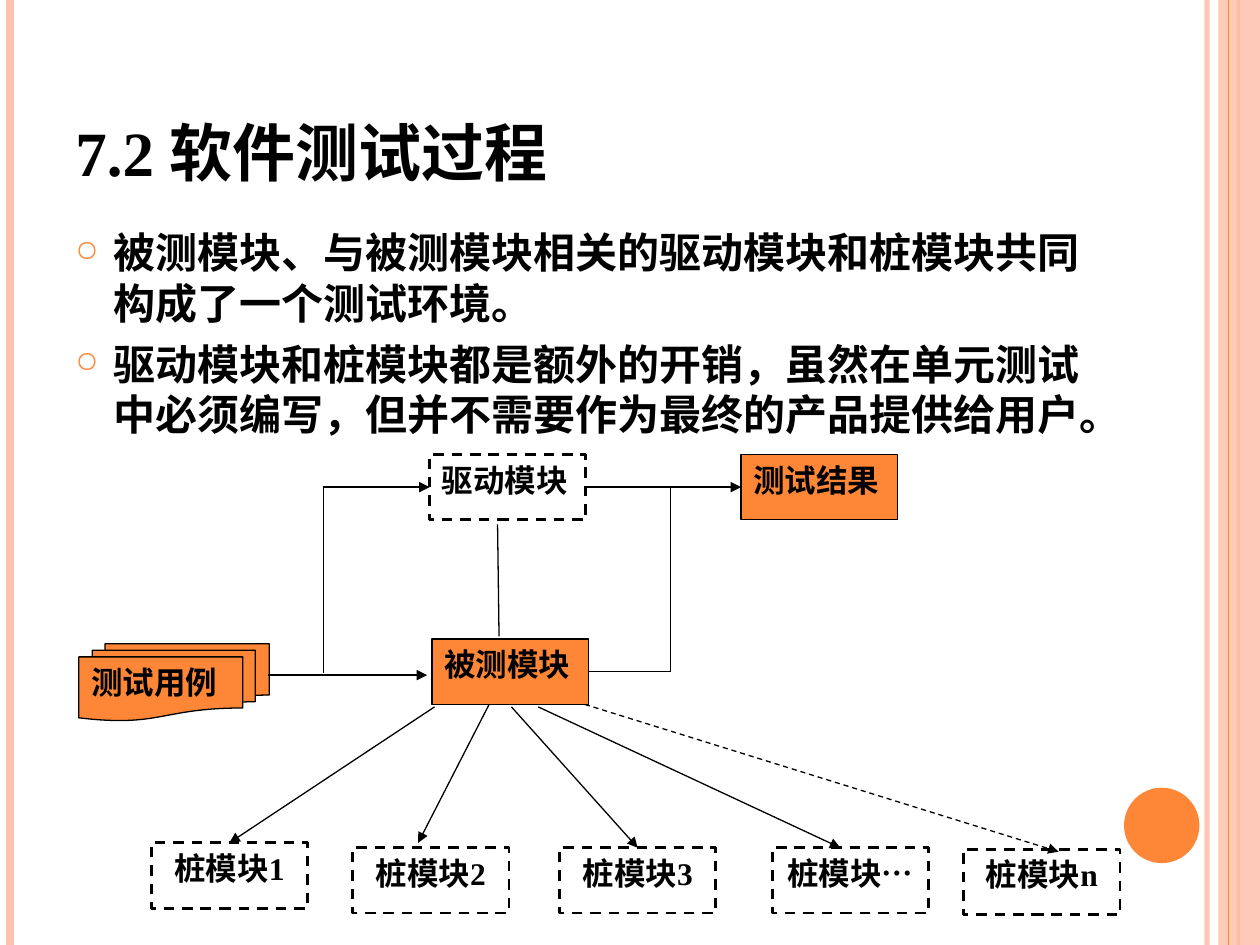
from dataclasses import dataclass
from pptx import Presentation
from pptx.dml.color import RGBColor
from pptx.enum.dml import MSO_LINE
from pptx.enum.shapes import MSO_CONNECTOR, MSO_SHAPE
from pptx.enum.text import MSO_ANCHOR, PP_ALIGN
from pptx.oxml.ns import qn
from pptx.util import Cm, Pt
from lxml import etree

RECT, OVAL = MSO_SHAPE.RECTANGLE, MSO_SHAPE.OVAL
DOCS = MSO_SHAPE.FLOWCHART_MULTIDOCUMENT
STRAIGHT = MSO_CONNECTOR.STRAIGHT
DASH = MSO_LINE.DASH
MID, JUST = PP_ALIGN.CENTER, PP_ALIGN.JUSTIFY
BOTTOM = MSO_ANCHOR.BOTTOM
TOP, LEFT, RIGHT = 0, 1, 3


@dataclass(frozen=True)
class Theme:
    ink: str = "000000"
    main: str = "FE8637"
    pale: str = "FEC3AE"
    font: str = "Times New Roman"
    title: int = 36
    body: int = 24
    label: int = 18
    thin: float = 0.75
    thick: float = 1.5


T = Theme()


def rgb(code):
    return RGBColor.from_string(code)


def fade(item, pct):
    """Set the opacity of the first colour in a shape or line."""
    tone = next(item._element.spPr.iter(qn("a:srgbClr")))
    etree.SubElement(tone, qn("a:alpha"), val=str(pct * 1000))


def write(para, text, size):
    run = para.add_run()
    run.text = text
    font = run.font
    font.name, font.size, font.bold = T.font, Pt(size), True
    font.color.rgb = rgb(T.ink)


def shape(slide, kind, x, y, w, h, fill=None):
    item = slide.shapes.add_shape(kind, Cm(x), Cm(y), Cm(w), Cm(h))
    item.shadow.inherit = False
    item.line.fill.background()
    if fill:
        item.fill.solid()
        item.fill.fore_color.rgb = rgb(fill)
    else:
        item.fill.background()
    return item


def block(slide, kind, x, y, w, h, text, fill=None, align=JUST):
    """Labelled outline: solid when filled, dashed when empty."""
    item = shape(slide, kind, x, y, w, h, fill)
    item.line.color.rgb = rgb(T.ink)
    item.line.width = Pt(T.thin if fill else T.thick)
    if not fill:
        item.line.dash_style = DASH
    frame = item.text_frame
    frame.vertical_anchor = MSO_ANCHOR.TOP
    para = frame.paragraphs[0]
    para.alignment = align
    write(para, text, T.label)
    return item


def line(slide, start, end, color=T.ink, width=T.thin, head=False):
    """Straight line; each end is a point or a (shape, side) pair."""
    ends = [(0, 0) if hasattr(p[0], "shape_id") else p for p in (start, end)]
    (x1, y1), (x2, y2) = ends
    item = slide.shapes.add_connector(STRAIGHT, Cm(x1), Cm(y1), Cm(x2), Cm(y2))
    if ends[0] != start:
        item.begin_connect(*start)
    if ends[1] != end:
        item.end_connect(*end)
    item.line.color.rgb = rgb(color)
    item.line.width = Pt(width)
    if head:
        etree.SubElement(item.line._get_or_add_ln(), qn("a:tailEnd"), type="triangle")
    etree.SubElement(item._element.spPr, qn("a:effectLst"))
    return item


def frame(slide, w, h):
    """Stripes at both edges and the round badge."""
    def rule(x, color, width):
        return line(slide, (x, 0), (x, h), color, width)

    fade(rule(w - 1.07, T.pale, 3), 93)
    rule(0.2, T.pale, 4.5)
    rule(w - 0.43, T.main, 1.5)
    fade(shape(slide, RECT, w - 0.84, 0, 0.84, h, T.pale), 87)
    rule(w - 0.64, T.main, 0.75)
    shape(slide, OVAL, w - 2.74, h - 3.17, 1.52, 1.52, T.main)


def area(slide, x, y, w, h):
    box = slide.shapes.add_textbox(Cm(x), Cm(y), Cm(w), Cm(h)).text_frame
    box.word_wrap = True
    return box


def title(slide, x, y, w, h, text):
    box = area(slide, x, y, w, h)
    box.vertical_anchor = BOTTOM
    write(box.paragraphs[0], text, T.title)


def points(slide, x, y, w, h, texts):
    box = area(slide, x, y, w, h)
    for i, text in enumerate(texts):
        para = box.add_paragraph() if i else box.paragraphs[0]
        props = para._p.get_or_add_pPr()
        props.set("marL", str(Cm(0.76)))
        props.set("indent", str(-Cm(0.76)))
        tone = etree.SubElement(props, qn("a:buClr"))
        etree.SubElement(tone, qn("a:srgbClr"), val=T.main)
        etree.SubElement(props, qn("a:buSzPct"), val="70000")
        etree.SubElement(props, qn("a:buChar"), char="○")
        if i:
            para.space_before = Pt(6)
        write(para, text, T.body)


def flow(slide, x, y):
    """Test environment, drawn from its top left corner."""
    w, h = 3.15, 1.32

    def at(dx, dy):
        return x + dx, y + dy

    def link(*stops, head=False):
        last = len(stops) - 2
        for i, pair in enumerate(zip(stops, stops[1:])):
            line(slide, *pair, head=head and i == last)

    block(slide, DOCS, *at(0, 3.84), 3.84, 1.55, "测试用例", T.main)
    unit = block(slide, RECT, *at(7.12, 3.74), w, h, "被测模块", T.main)
    drive = block(slide, RECT, *at(7.07, 0.02), w, h, "驱动模块")
    result = block(slide, RECT, *at(13.35, 0.02), w, h, "测试结果", T.main)

    link(at(3.82, 4.47), at(7.02, 4.47), head=True)
    link((drive, RIGHT), (result, LEFT), head=True)
    link(at(8.47, 3.69), at(8.44, 1.43))
    link(at(4.93, 4.42), at(4.93, 0.68), (drive, LEFT), head=True)
    link((unit, RIGHT), at(11.92, 4.4), at(11.92, 0.68))

    # label, left, top, arrow start, arrow tip (none: middle of the top)
    stubs = [
        ("1", 1.46, 7.85, (7.17, 5.11), None),
        ("2", 5.52, 7.95, (8.27, 5.06), (6.84, 7.85)),
        ("3", 9.69, 7.95, (8.72, 5.11), None),
        ("…", 13.98, 7.95, (9.26, 5.11), (15.35, 7.95)),
        ("n", 17.84, 7.98, (10.2, 5.06), (19.75, 8.03)),
    ]
    for name, left, top, start, tip in stubs:
        stub = block(slide, RECT, *at(left, top), w, h, "桩模块" + name, align=MID)
        end = at(*tip) if tip else (stub, TOP)
        arrow = line(slide, at(*start), end, head=True)
        if name == "n":
            arrow.line.dash_style = DASH


def main():
    deck = Presentation()
    w, h = 25.4, 19.05
    deck.slide_width, deck.slide_height = Cm(w), Cm(h)
    slide = deck.slides.add_slide(deck.slide_layouts[6])
    frame(slide, w, h)
    title(slide, 1.27, 0.76, 20.75, 3.18, "7.2 软件测试过程")
    points(slide, 1.27, 4.45, 20.75, 13.54, [
        "被测模块、与被测模块相关的驱动模块和桩模块共同构成了一个测试环境。",
        "驱动模块和桩模块都是额外的开销，虽然在单元测试中必须编写，"
        "但并不需要作为最终的产品提供给用户。",
    ])
    flow(slide, 1.59, 9.14)
    deck.save("out.pptx")


if __name__ == "__main__":
    main()
